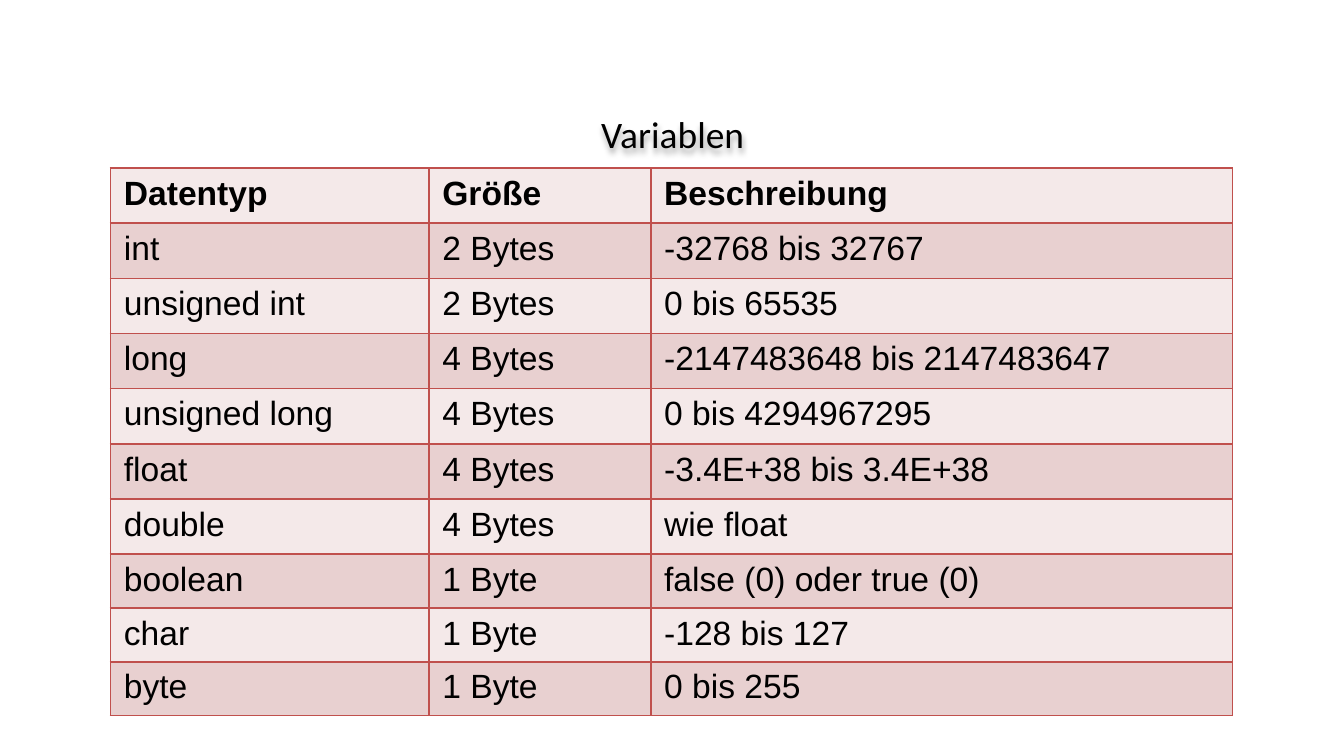
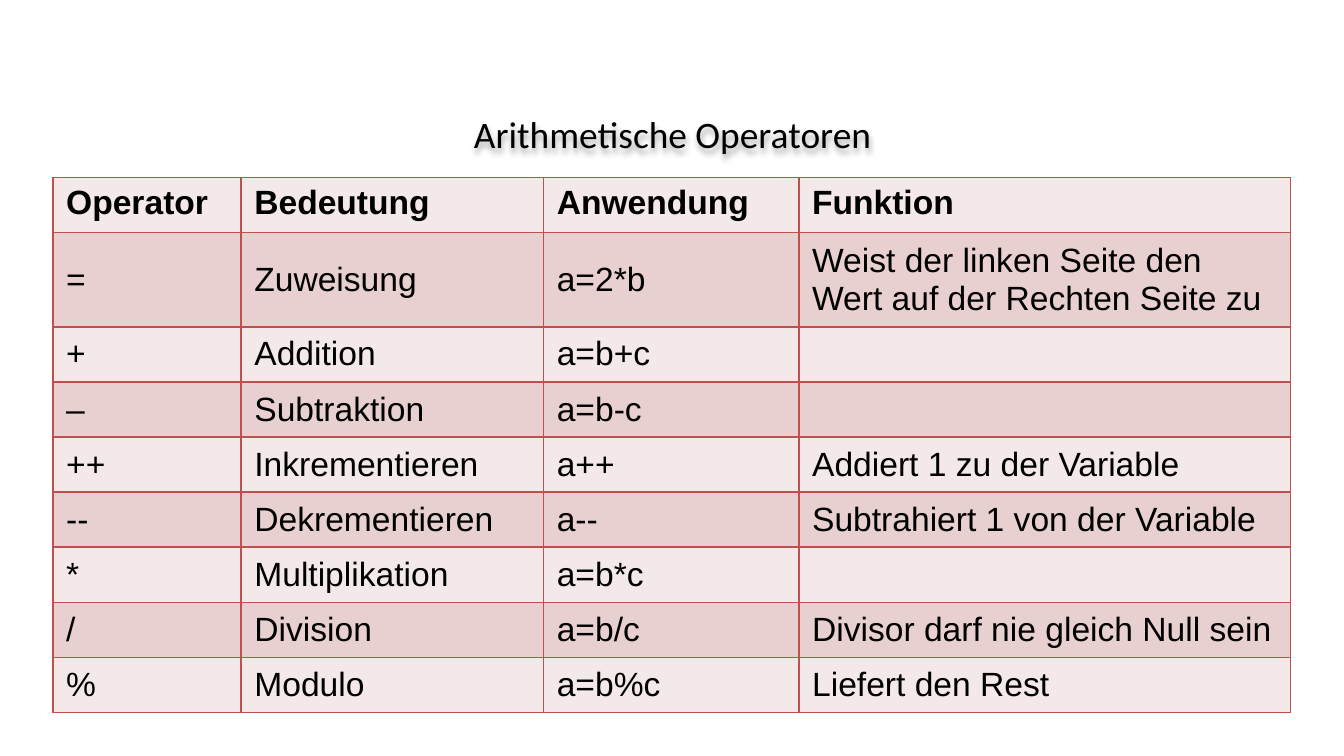
from pptx import Presentation
from pptx.dml.color import RGBColor as RGB
from pptx.enum.text import MSO_ANCHOR as ANCHOR, MSO_AUTO_SIZE as AUTO, PP_ALIGN as ALIGN
from pptx.oxml import parse_xml
from pptx.oxml.ns import nsdecls
from pptx.util import Inches, Pt

BLACK, WHITE = RGB(0, 0, 0), RGB(255, 255, 255)
BORDER = RGB(0xC0, 0x50, 0x4D)
BANDS = RGB(0xF4, 0xE9, 0xE9), RGB(0xE8, 0xD0, 0xD0)
TITLE_FONT = dict(name="Calibri", size=Pt(20))
CELL_FONT = dict(name="Arial", size=Pt(18))

WIDTH = Inches(10)
HEIGHT = WIDTH * 9 // 16
COL, ROW = WIDTH / 100, HEIGHT / 100
TITLE_BOX = 20.1, 13.87, 59.9, 7.82
LINE, TIGHT_LINE, DOUBLE_LINE = 7.3, 7.12, 12.46

SHADOW = ('<a:effectLst %s><a:outerShdw blurRad="40000" dist="23000" dir="5400000" rotWithShape="0">'
          '<a:srgbClr val="000000"><a:alpha val="35000"/></a:srgbClr>'
          '</a:outerShdw></a:effectLst>')
EDGE = '<a:%s %s w="12700"><a:solidFill><a:srgbClr val="%s"/></a:solidFill></a:%s>'

VARIABLES = [
    ("Datentyp", "Größe", "Beschreibung"),
    ("int", "2 Bytes", "-32768 bis 32767"),
    ("unsigned int", "2 Bytes", "0 bis 65535"),
    ("long", "4 Bytes", "-2147483648 bis 2147483647"),
    ("unsigned long", "4 Bytes", "0 bis 4294967295"),
    ("float", "4 Bytes", "-3.4E+38 bis 3.4E+38"),
    ("double", "4 Bytes", "wie float"),
    ("boolean", "1 Byte", "false (0) oder true (0)"),
    ("char", "1 Byte", "-128 bis 127"),
    ("byte", "1 Byte", "0 bis 255"),
]
OPERATORS = [
    ("Operator", "Bedeutung", "Anwendung", "Funktion"),
    ("=", "Zuweisung", "a=2*b", "Weist der linken Seite den Wert auf der Rechten Seite zu"),
    ("+", "Addition", "a=b+c", ""),
    ("–", "Subtraktion", "a=b-c", ""),
    ("++", "Inkrementieren", "a++", "Addiert 1 zu der Variable"),
    ("--", "Dekrementieren", "a--", "Subtrahiert 1 von der Variable"),
    ("*", "Multiplikation", "a=b*c", ""),
    ("/", "Division", "a=b/c", "Divisor darf nie gleich Null sein"),
    ("%", "Modulo", "a=b%c", "Liefert den Rest"),
]


def place(x, y, w, h):
    """Turn a box in grid columns and rows into slide lengths."""
    return int(x * COL), int(y * ROW), int(w * COL), int(h * ROW)


def style(font, **formats):
    """Apply format values and the text colour to a font."""
    for name, value in formats.items():
        setattr(font, name, value)
    font.color.rgb = BLACK


def add_title(slide, box, text):
    """Add the centred, shadowed slide title."""
    sp = slide.shapes.add_textbox(*place(*box))
    sp._element.spPr.append(parse_xml(SHADOW % nsdecls("a")))
    tf = sp.text_frame
    tf.word_wrap, tf.auto_size = True, AUTO.SHAPE_TO_FIT_TEXT
    p = tf.paragraphs[0]
    p.alignment = ALIGN.CENTER
    r = p.add_run()
    r.text = text
    style(r.font, **TITLE_FONT)


def fill_cell(cell, text, color, bold, anchor):
    """Write one table cell with its band colour and borders."""
    cell.vertical_anchor = anchor
    p = cell.text_frame.paragraphs[0]
    style(p.font, **CELL_FONT)
    if text:
        r = p.add_run()
        r.text = text
        style(r.font, bold=bold, **CELL_FONT)
    tcPr = cell._tc.get_or_add_tcPr()
    for side in ("lnL", "lnR", "lnT", "lnB"):
        tcPr.append(parse_xml(EDGE % (side, nsdecls("a"), BORDER, side)))
    cell.fill.solid()
    cell.fill.fore_color.rgb = color


def add_banded_table(slide, left, top, widths, heights, rows, anchor):
    """Add a table with a bold heading row and alternating bands."""
    box = place(left, top, sum(widths), sum(heights))
    table = slide.shapes.add_table(len(rows), len(widths), *box).table
    for column, width in zip(table.columns, widths):
        column.width = int(width * COL)
    for i, (row, height, texts) in enumerate(zip(table.rows, heights, rows)):
        row.height = int(height * ROW)
        for cell, text in zip(row.cells, texts):
            fill_cell(cell, text, BANDS[i % 2], i == 0, anchor if i else ANCHOR.TOP)


def add_table_slide(prs, title, **table):
    """Add a white slide with a title above a banded table."""
    slide = prs.slides.add_slide(prs.slide_layouts[6])
    slide.background.fill.solid()
    slide.background.fill.fore_color.rgb = WHITE
    add_title(slide, TITLE_BOX, title)
    add_banded_table(slide, **table)


def main():
    """Build and save the presentation."""
    prs = Presentation()
    prs.slide_width, prs.slide_height = WIDTH, HEIGHT
    add_table_slide(prs, "Variablen", left=8.22, top=22.24, widths=(23.7, 16.5, 43.3),
                    heights=[LINE] * 7 + [TIGHT_LINE] * 3, rows=VARIABLES, anchor=ANCHOR.TOP)
    add_table_slide(prs, "Arithmetische Operatoren", left=3.93, top=23.47,
                    widths=(14, 22.5, 19, 36.6), heights=[LINE, DOUBLE_LINE] + [LINE] * 7,
                    rows=OPERATORS, anchor=ANCHOR.MIDDLE)
    prs.save("out.pptx")


if __name__ == "__main__":
    main()
